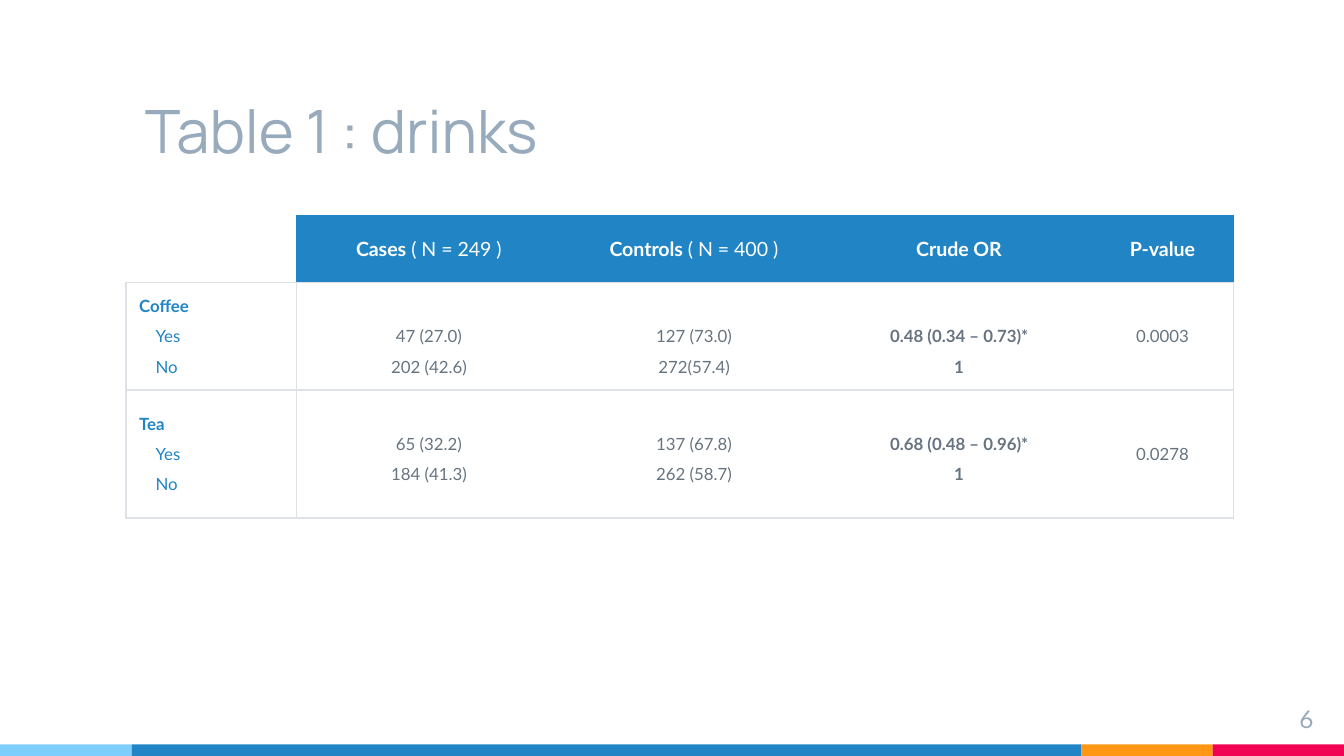
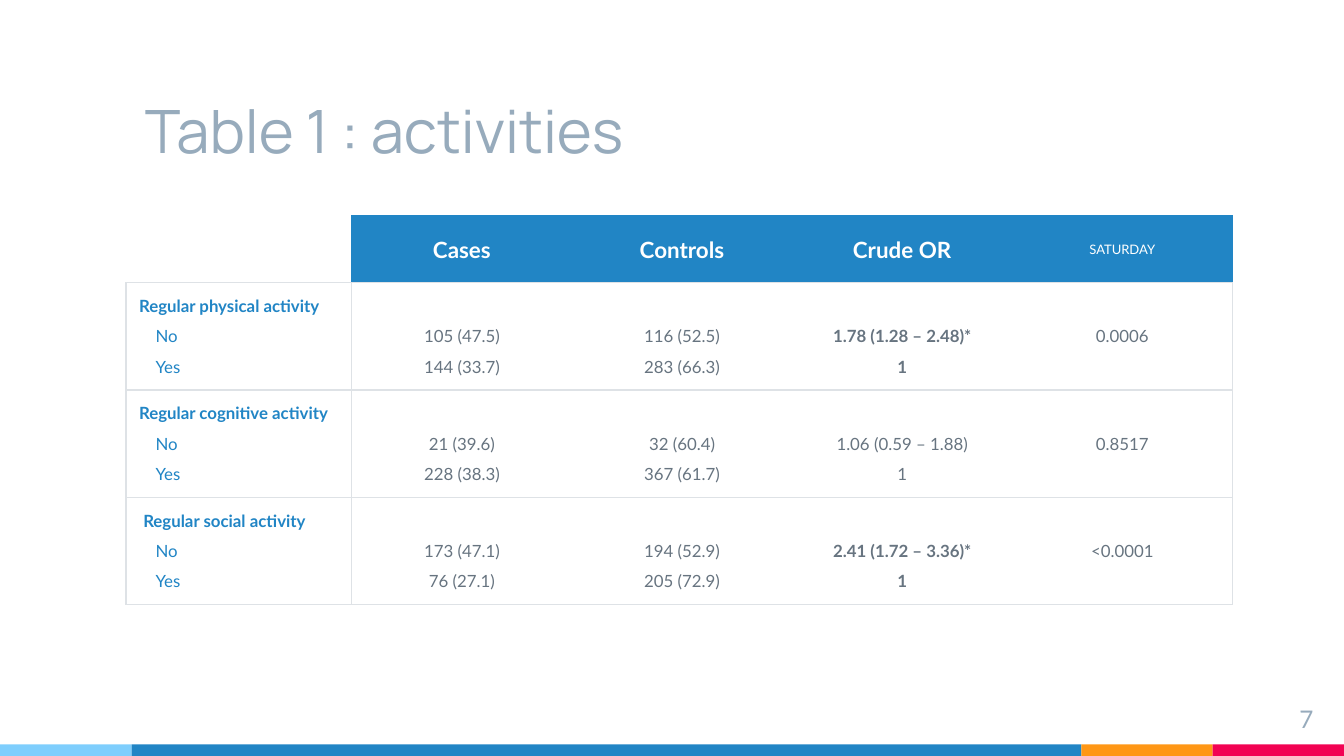
from dataclasses import dataclass

from lxml import etree
from pptx import Presentation
from pptx.dml.color import RGBColor
from pptx.enum.shapes import MSO_SHAPE
from pptx.enum.text import MSO_ANCHOR, PP_ALIGN
from pptx.oxml.ns import qn
from pptx.util import Cm, Pt

RECTANGLE = MSO_SHAPE.RECTANGLE
LEFT, CENTER, RIGHT = PP_ALIGN.LEFT, PP_ALIGN.CENTER, PP_ALIGN.RIGHT
TOP, MIDDLE, BOTTOM = MSO_ANCHOR.TOP, MSO_ANCHOR.MIDDLE, MSO_ANCHOR.BOTTOM

SKY, BLUE, ORANGE, PINK = "7ECEFD", "2185C5", "FF9715", "F20253"
WHITE, TITLE_GREY, TEXT_GREY, RULE_GREY = "FFFFFF", "97ABBC", "677480", "DEE2E6"
TITLE_FONT, BODY_FONT = "Manrope", "Lato"

WIDTH, HEIGHT = 25.4, 14.29
BAND_TOP = 14.07
BANDS = [(SKY, 2.49), (BLUE, 17.95), (ORANGE, 2.48), (PINK, 2.48)]
TABLE_LEFT, TABLE_TOP = 2.38, 4.08
INSET = 0.25
LABEL_LINE = 0.38  # height of a group's name, skipped above its figures
BODY_SIZE = 9
LINE_SPACING = 1.5


@dataclass
class Group:
    """One exposure: its levels, each with cases, controls and odds ratio."""
    name: str
    levels: list
    p_value: str
    height: float = 2.03
    significant: bool = True
    gap: float = LABEL_LINE


def color(hex_string):
    return RGBColor.from_string(hex_string)


def format_run(run, size, hex_string, bold=False, font_name=BODY_FONT):
    run.font.name = font_name
    run.font.size = Pt(size)
    run.font.bold = bold
    run.font.color.rgb = color(hex_string)


def add_text(slide, text, box, size, font_name, anchor=TOP, alignment=LEFT):
    shape = slide.shapes.add_textbox(*(Cm(length) for length in box))
    frame = shape.text_frame
    frame.word_wrap = True
    frame.vertical_anchor = anchor
    frame.margin_left = frame.margin_right = Cm(INSET)
    frame.margin_top = frame.margin_bottom = Cm(INSET)
    frame.text = text
    paragraph = frame.paragraphs[0]
    paragraph.alignment = alignment
    format_run(paragraph.runs[0], size, TITLE_GREY, font_name=font_name)


def add_bands(slide):
    left = 0
    for fill, width in BANDS:
        shape = slide.shapes.add_shape(
            RECTANGLE, Cm(left), Cm(BAND_TOP), Cm(width), Cm(HEIGHT - BAND_TOP))
        shape.shadow.inherit = False
        shape.fill.solid()
        shape.fill.fore_color.rgb = color(fill)
        shape.line.fill.background()
        left += width


def add_base_slide(presentation, title, number):
    slide = presentation.slides.add_slide(presentation.slide_layouts[6])
    add_bands(slide)
    add_text(slide, title, (2.49, 0.99, 17.95, 2.39), 32, TITLE_FONT, anchor=BOTTOM)
    add_text(slide, str(number), (23.55, 13.06, 1.52, 0.86), 13, BODY_FONT,
             alignment=RIGHT)
    return slide


def set_borders(cell, **sides):
    """Draw the sides L, R, T, B in the given colours; None leaves one out."""
    properties = cell._tc.get_or_add_tcPr()
    for side in "LRTB":
        line = etree.SubElement(properties, qn(f"a:ln{side}"), w=str(Pt(0.75)))
        if sides.get(side):
            fill = etree.SubElement(line, qn("a:solidFill"))
            etree.SubElement(fill, qn("a:srgbClr"), val=sides[side])
        else:
            etree.SubElement(line, qn("a:noFill"))


def style_cell(cell, row, column, last_column):
    cell.vertical_anchor = MIDDLE
    cell.margin_left = cell.margin_right = Cm(INSET)
    cell.margin_top = cell.margin_bottom = Cm(INSET)
    edge = RULE_GREY if row else BLUE
    set_borders(
        cell,
        L=edge if column == 1 or (row and column == 0) else None,
        R=edge if column in (0, last_column) else None,
        T=RULE_GREY if row else (BLUE if column else None),
        B=RULE_GREY)
    if row == 0 and column:
        cell.fill.solid()
        cell.fill.fore_color.rgb = color(BLUE)
    else:
        cell.fill.background()


def write_header(cell, runs):
    paragraph = cell.text_frame.paragraphs[0]
    paragraph.alignment = CENTER
    for text, size, bold in runs:
        run = paragraph.add_run()
        run.text = text
        format_run(run, size, WHITE, bold)


def write_label(cell, group):
    cell.text_frame.text = "\n".join([group.name] + [level[0] for level in group.levels])
    for index, paragraph in enumerate(cell.text_frame.paragraphs):
        format_run(paragraph.runs[0], BODY_SIZE, BLUE, bold=index == 0)
        if index:
            paragraph.line_spacing = LINE_SPACING
            paragraph._p.get_or_add_pPr().set("marL", str(Cm(0.31)))


def write_figures(cell, lines, bold=False, line_spacing=LINE_SPACING):
    cell.text_frame.text = "\n".join(lines)
    for paragraph in cell.text_frame.paragraphs:
        paragraph.alignment = CENTER
        paragraph.line_spacing = line_spacing
        format_run(paragraph.runs[0], BODY_SIZE, TEXT_GREY, bold)


def add_odds_table(slide, headers, groups, column_widths, header_height):
    heights = [header_height] + [group.height for group in groups]
    table = slide.shapes.add_table(
        len(heights), len(column_widths), Cm(TABLE_LEFT), Cm(TABLE_TOP),
        Cm(sum(column_widths)), Cm(sum(heights))).table
    table.first_row = table.horz_banding = False
    for column, width in zip(table.columns, column_widths):
        column.width = Cm(width)
    last_column = len(column_widths) - 1
    for row, height in enumerate(heights):
        table.rows[row].height = Cm(height)
        for column in range(len(column_widths)):
            style_cell(table.cell(row, column), row, column, last_column)

    for column, runs in enumerate(headers, start=1):
        write_header(table.cell(0, column), runs)
    for row, group in enumerate(groups, start=1):
        write_label(table.cell(row, 0), group)
        for column in (1, 2, 3):
            cell = table.cell(row, column)
            cell.margin_top = Cm(INSET + group.gap)
            write_figures(cell, [level[column] for level in group.levels],
                          bold=column == 3 and group.significant)
        write_figures(table.cell(row, last_column), [group.p_value], line_spacing=1.0)


def add_drinks_slide(presentation):
    slide = add_base_slide(presentation, "Table 1 : drinks", 6)
    headers = [
        [("Cases", 10.5, True), (" ( N = 249 )", 10.5, False)],
        [("Controls ", 10.5, True), ("( N = 400 )", 10.5, False)],
        [("Crude OR", 10.5, True)],
        [("P-value", 10.5, True)],
    ]
    groups = [
        Group("Coffee", [("Yes", "47 (27.0)", "127 (73.0)", "0.48 (0.34 – 0.73)*"),
                         ("No", "202 (42.6)", "272(57.4)", "1")], "0.0003"),
        Group("Tea", [("Yes", "65 (32.2)", "137 (67.8)", "0.68 (0.48 – 0.96)*"),
                      ("No", "184 (41.3)", "262 (58.7)", "1")], "0.0278",
              height=2.42, gap=0),
    ]
    add_odds_table(slide, headers, groups, [3.22, 5.01, 5.01, 5.01, 2.68], 0.96)


def add_activities_slide(presentation):
    slide = add_base_slide(presentation, "Table 1 : activities", 7)
    headers = [[(text, 12, True)] for text in ("Cases", "Controls", "Crude OR")]
    headers.append([("SATURDAY", 7, False)])
    groups = [
        Group("Regular physical activity",
              [("No", "105 (47.5)", "116 (52.5)", "1.78 (1.28 – 2.48)*"),
               ("Yes", "144 (33.7)", "283 (66.3)", "1")], "0.0006"),
        Group("Regular cognitive activity",
              [("No", "21 (39.6)", "32 (60.4)", "1.06 (0.59 – 1.88)"),
               ("Yes", "228 (38.3)", "367 (61.7)", "1")], "0.8517", significant=False),
        Group(" Regular social activity",
              [("No", "173 (47.1)", "194 (52.9)", "2.41 (1.72 – 3.36)*"),
               ("Yes", "76 (27.1)", "205 (72.9)", "1")], "<0.0001"),
    ]
    add_odds_table(slide, headers, groups, [4.27] + [4.16] * 4, 1.02)


def main():
    presentation = Presentation()
    presentation.slide_width = Cm(WIDTH)
    presentation.slide_height = Cm(HEIGHT)
    add_drinks_slide(presentation)
    add_activities_slide(presentation)
    presentation.save("out.pptx")


if __name__ == "__main__":
    main()
